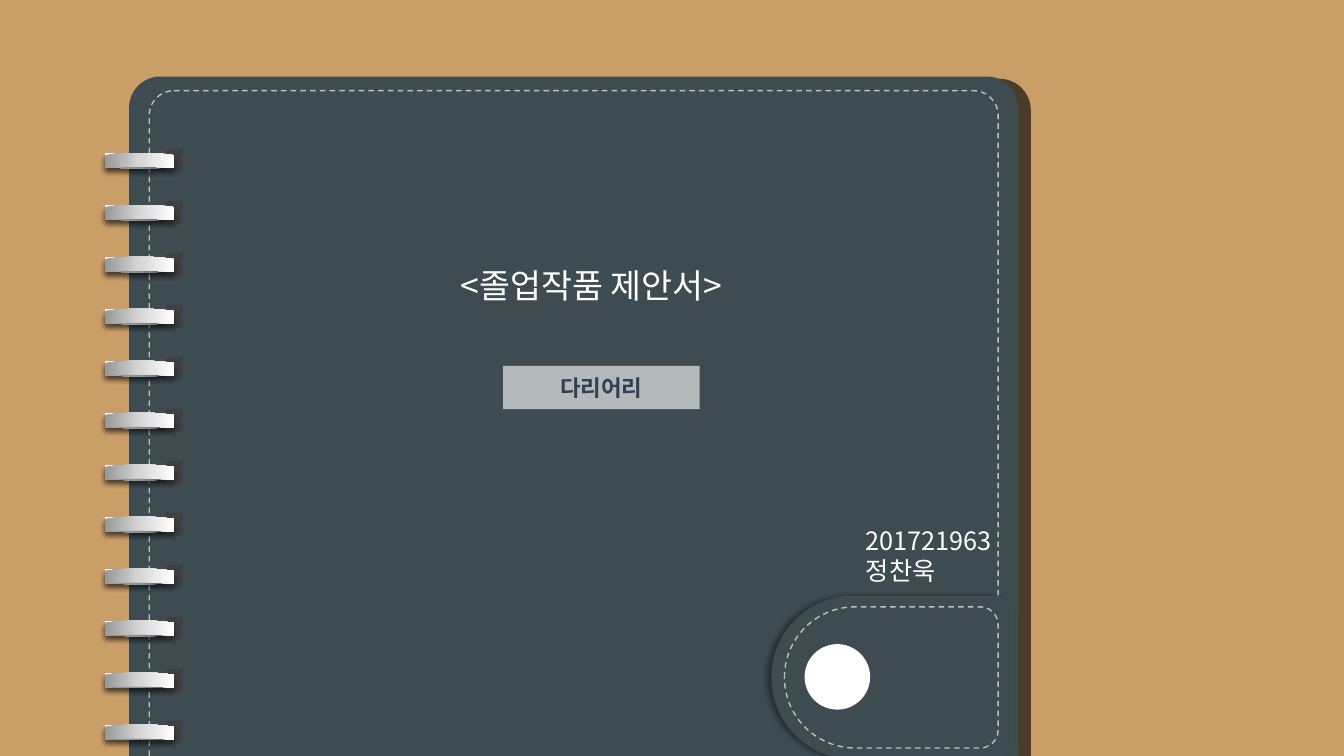
from pptx import Presentation
from pptx.dml.color import RGBColor
from pptx.enum.dml import MSO_LINE
from pptx.enum.shapes import MSO_SHAPE
from pptx.enum.text import MSO_ANCHOR, MSO_AUTO_SIZE, PP_ALIGN
from pptx.oxml import parse_xml
from pptx.oxml.ns import nsdecls
from pptx.util import Emu, Pt

EMU_PER_PX = 9144  # 100 px to the inch
FONT = "Noto Sans CJK KR"
DESK, COVER, STITCH = "CA9E67", "3E4B51", "BFBFBF"
SLOT, WHITE, NAVY = "404040", "FFFFFF", "333F50"
METAL = ((0, "979797"), (50, "D7D7D7"), (100, "FFFFFF"))

RING_COUNT = 12
RING_SPAN = 567  # from the first ring to the last
RING_TOP_EDGE = ((104, 152), (137, 155), (150, 154), (173, 152))
RING_BOTTOM_EDGE = ((173, 165), (150, 168), (135, 169), (104, 165))
RING_FRONT_LIFT = 2


def px(value):
    return Emu(round(value * EMU_PER_PX))


def color(hex_string):
    return RGBColor.from_string(hex_string)


def add_xml(parent, tag, attributes="", content=""):
    """Append an element of the drawing namespace and return it."""
    element = parse_xml(f"<a:{tag} {nsdecls('a')} {attributes}>{content}</a:{tag}>")
    parent.append(element)
    return element


def set_shadow(shape, alpha, blur, distance, angle):
    """Cast a black shadow; blur and distance are in points, angle in degrees."""
    add_xml(
        shape.element.xpath("./p:spPr/a:effectLst")[0],
        "outerShdw",
        f'blurRad="{Pt(blur)}" dist="{Pt(distance)}" dir="{angle * 60000}" '
        'algn="ctr" rotWithShape="0"',
        f'<a:srgbClr val="000000"><a:alpha val="{alpha * 1000}"/></a:srgbClr>',
    )


def add_panel(shapes, kind, box, fill=None, opacity=100, dashed=False,
              corners=(), rotation=0, shadow=None):
    shape = shapes.add_shape(kind, *map(px, box))
    shape.shadow.inherit = False
    shape.rotation = rotation
    for index, corner in enumerate(corners):
        shape.adjustments[index] = corner
    if fill:
        shape.fill.solid()
        shape.fill.fore_color.rgb = color(fill)
    else:
        shape.fill.background()
    if opacity < 100:
        fill_color = shape.element.xpath("./p:spPr/a:solidFill/a:srgbClr")[0]
        add_xml(fill_color, "alpha", f'val="{opacity * 1000}"')
    if dashed:
        shape.line.color.rgb = color(STITCH)
        shape.line.width = Pt(1)
        shape.line.dash_style = MSO_LINE.DASH
    else:
        shape.line.fill.background()
    if shadow:
        set_shadow(shape, *shadow)
    return shape


def bend_edges(shape):
    """Turn the two runs of three straight segments into Bezier curves."""
    outline = shape.element.xpath(".//a:path")[0]
    segments = list(outline)
    for first in (1, 5):
        curve = add_xml(outline, "cubicBezTo")
        outline.replace(segments[first], curve)
        for segment in segments[first:first + 3]:
            curve.append(segment[0])
        for segment in segments[first + 1:first + 3]:
            outline.remove(segment)


def add_ring_half(shapes, offset, rotation):
    start, *others = [(px(x), px(y + offset)) for x, y in RING_TOP_EDGE + RING_BOTTOM_EDGE]
    builder = shapes.build_freeform(*start, scale=1.0)
    builder.add_line_segments(others, close=True)
    half = builder.convert_to_shape()
    bend_edges(half)
    half.rotation = rotation
    half.shadow.inherit = False
    half.line.fill.background()
    half.fill.gradient()
    half.fill.gradient_angle = 180
    stops = half.element.xpath("./p:spPr/a:gradFill/a:gsLst")[0]
    stops.clear()
    for position, shade in METAL:
        add_xml(stops, "gs", f'pos="{position * 1000}"', f'<a:srgbClr val="{shade}"/>')
    set_shadow(half, 40, 4, 3, 90)


def add_ring(slide, offset):
    """One binder ring: the back half, its slot in the cover, the front half."""
    shapes = slide.shapes.add_group_shape().shapes
    add_ring_half(shapes, offset, 0)
    add_panel(shapes, MSO_SHAPE.RECTANGLE, (165, 148 + offset, 16, 22), SLOT)
    add_ring_half(shapes, offset - RING_FRONT_LIFT, 180)


def write_text(shape, *lines, size, text_color=WHITE, bold=False,
               align=PP_ALIGN.LEFT, anchor=MSO_ANCHOR.TOP, spacing=None, grow=False):
    frame = shape.text_frame
    frame.word_wrap = True
    frame.vertical_anchor = anchor
    frame.auto_size = MSO_AUTO_SIZE.SHAPE_TO_FIT_TEXT if grow else MSO_AUTO_SIZE.NONE
    for index, line in enumerate(lines):
        paragraph = frame.add_paragraph() if index else frame.paragraphs[0]
        paragraph.alignment = align
        paragraph.line_spacing = spacing
        run = paragraph.add_run()
        run.text = line
        run.font.size = Pt(size)
        run.font.bold = bold
        run.font.color.rgb = color(text_color)
        run.font.name = FONT
        add_xml(run.font._element, "ea", f'typeface="{FONT}"')


def place_title(slide, box, text, **text_format):
    title = slide.shapes.title
    title.left, title.top, title.width, title.height = map(px, box)
    title.element.getparent().append(title.element)  # in front of the cover
    write_text(title, text, **text_format)


def main():
    presentation = Presentation()
    presentation.slide_width, presentation.slide_height = px(1333), px(750)
    slide = presentation.slides.add_slide(presentation.slide_layouts[5])
    slide.background.fill.solid()
    slide.background.fill.fore_color.rgb = color(DESK)
    shapes = slide.shapes
    rounded = MSO_SHAPE.ROUND_2_SAME_RECTANGLE

    add_panel(shapes, rounded, (128, 76, 882, 674), COVER,
              corners=(0.046, 0), shadow=(61, 0, 9, 10))
    add_panel(shapes, rounded, (148, 90, 842, 663), dashed=True, corners=(0.037, 0))
    for index in range(RING_COUNT):
        add_ring(slide, index * RING_SPAN / (RING_COUNT - 1))

    strap_corners = (0.5, 0.127)
    add_panel(shapes, rounded, (805, 551, 162, 242), COVER, corners=strap_corners,
              rotation=270, shadow=(40, 4, 3, 180))
    add_panel(shapes, rounded, (814, 566, 140, 212), COVER, dashed=True,
              corners=strap_corners, rotation=270)

    place_title(slide, (336, 238, 501, 63), "<졸업작품 제안서>", size=24,
                align=PP_ALIGN.CENTER, spacing=1.5, grow=True)
    label = add_panel(shapes, MSO_SHAPE.RECTANGLE, (499, 363, 195, 43), WHITE, opacity=61)
    write_text(label, "다리어리", size=16, text_color=NAVY, bold=True,
               align=PP_ALIGN.CENTER, anchor=MSO_ANCHOR.MIDDLE)
    add_panel(shapes, MSO_SHAPE.OVAL, (798, 639, 65, 65), WHITE)
    author = shapes.add_textbox(*map(px, (849, 516, 158, 71)))
    write_text(author, "201721963", "정찬욱", size=18, grow=True)

    presentation.save("out.pptx")


if __name__ == "__main__":
    main()
